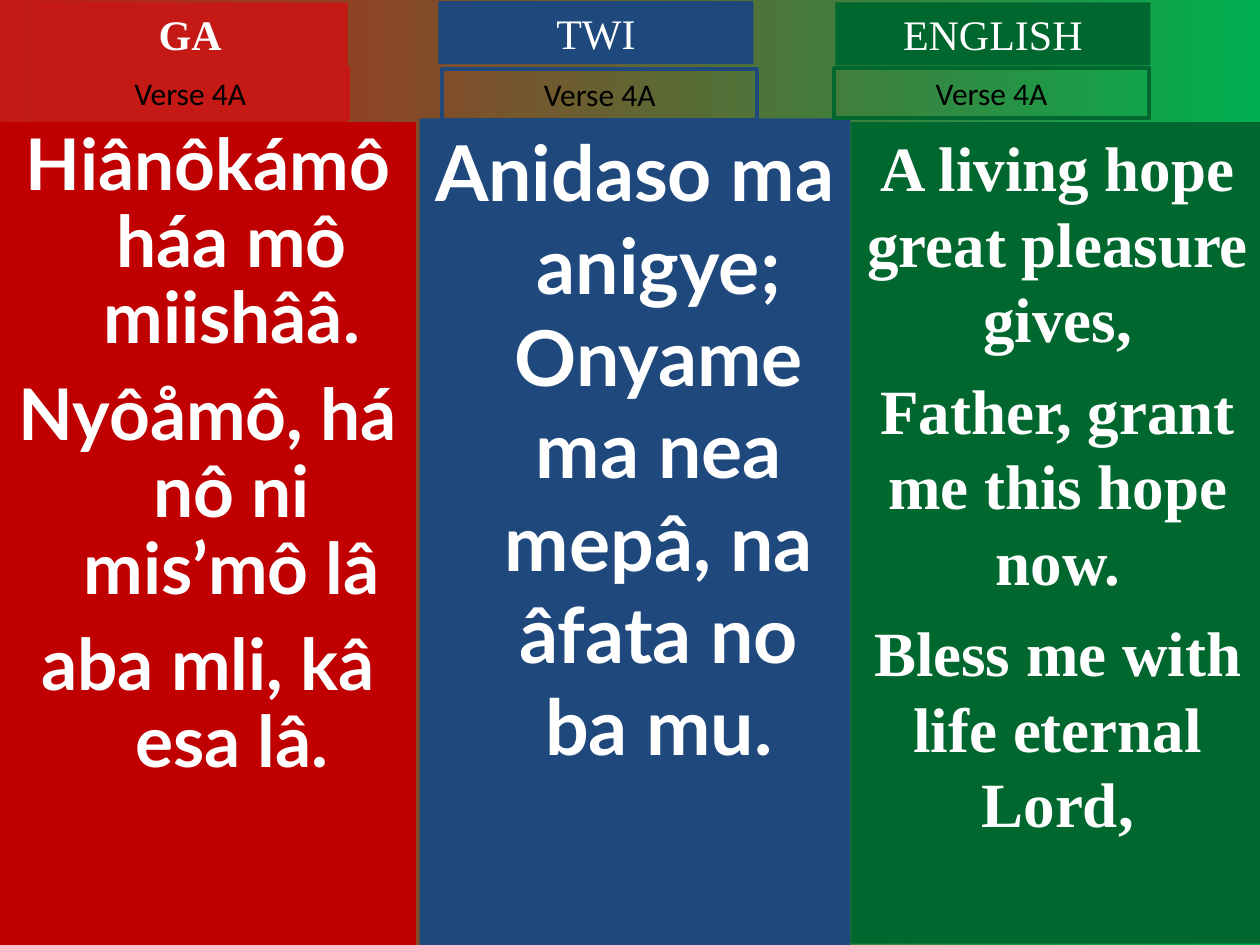
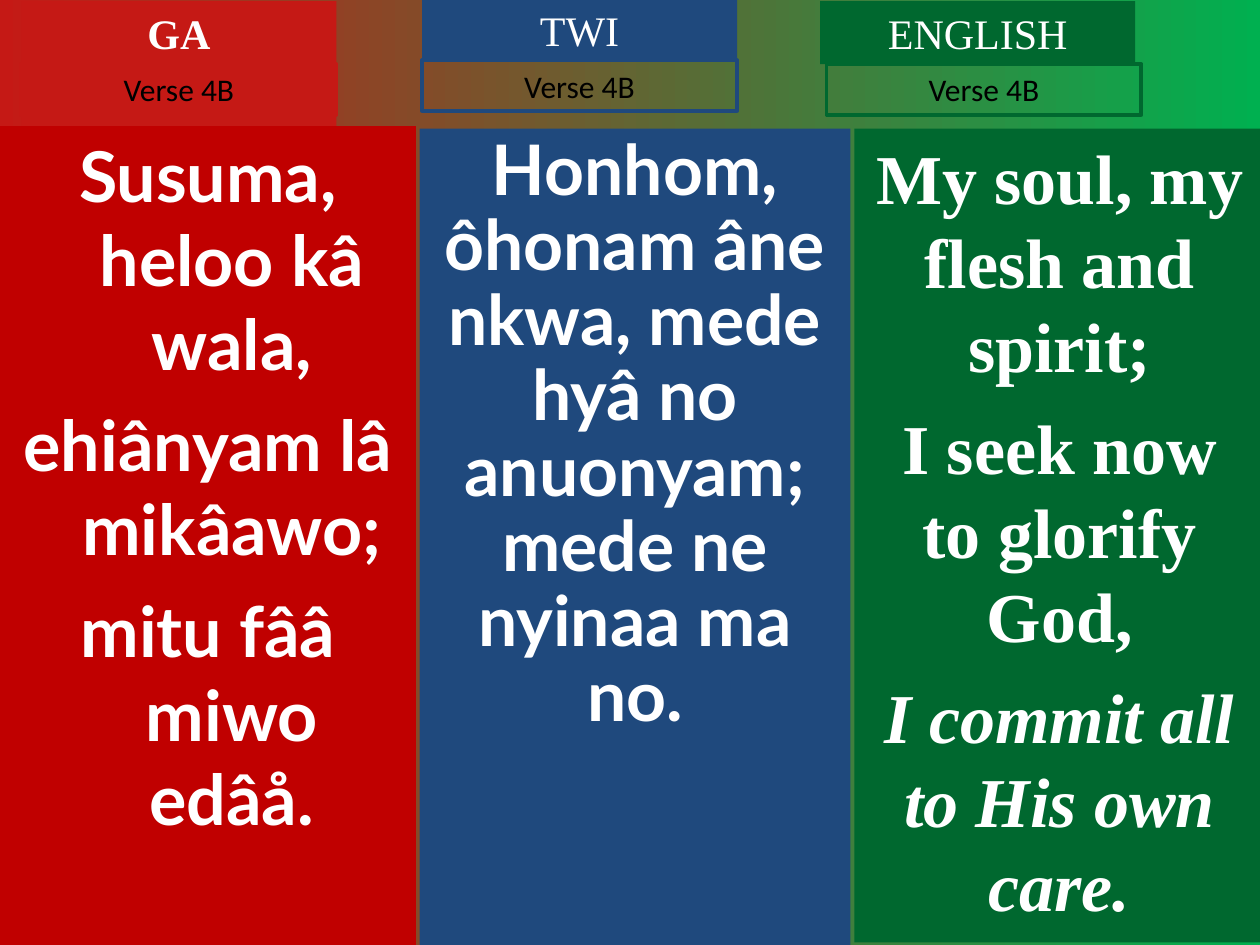
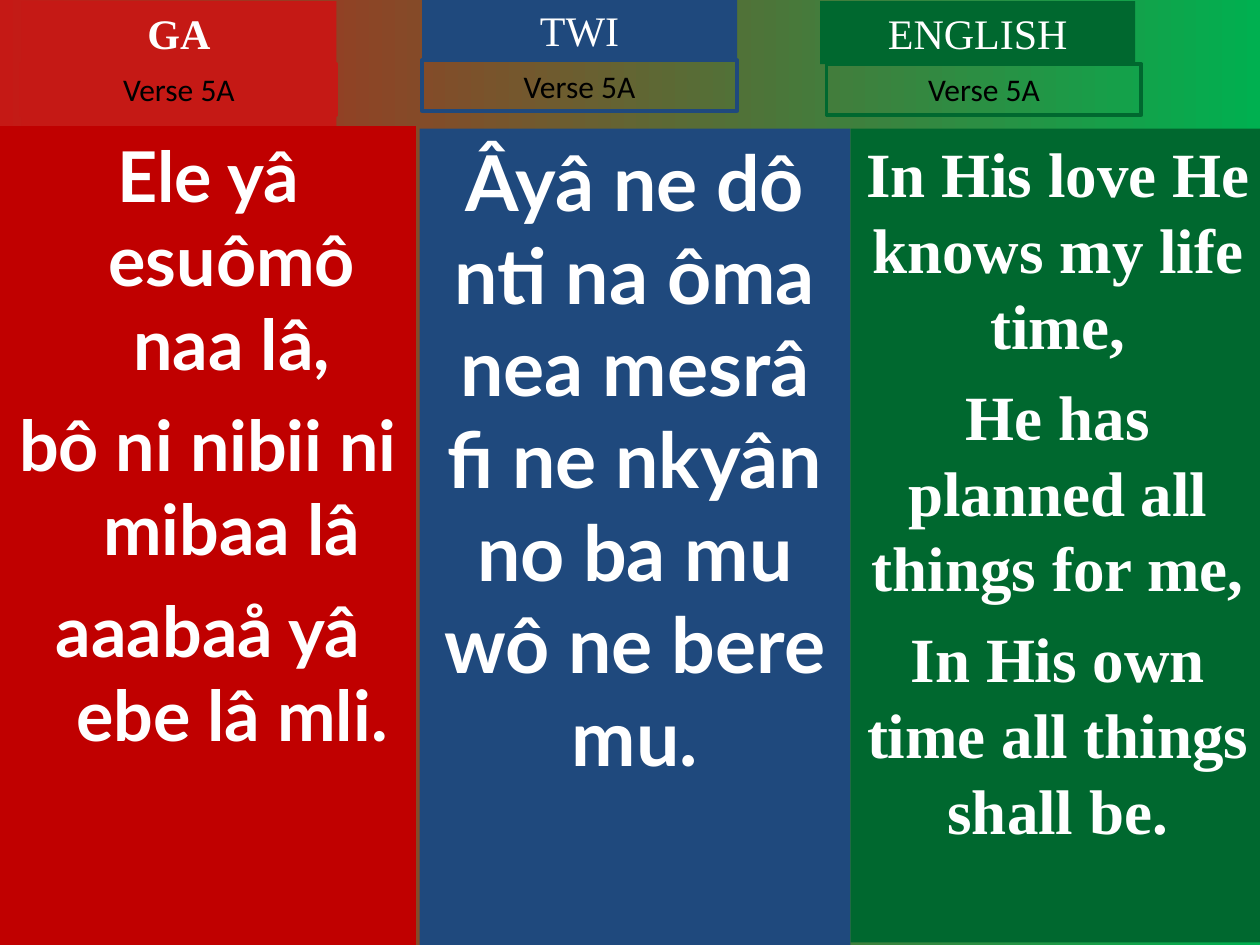
from dataclasses import dataclass

from lxml.etree import SubElement
from pptx import Presentation
from pptx.dml.color import RGBColor
from pptx.enum.shapes import MSO_SHAPE
from pptx.enum.text import MSO_ANCHOR, MSO_AUTO_SIZE, PP_ALIGN
from pptx.oxml.ns import qn
from pptx.util import Inches, Pt

# The grid has 100 columns and 75 rows on every slide.
UNIT = Inches(0.1)
COLUMNS, ROWS = 100, 75
COMPARISON_LAYOUT = 3 + 1
HANGING = Inches(0.38)

RED = RGBColor(0xC5, 0x19, 0x15)
DARK_RED = RGBColor(0xC0, 0x00, 0x00)
BLUE = RGBColor(0x1F, 0x49, 0x7D)
GREEN = RGBColor(0x00, 0x68, 0x2F)
BRIGHT_GREEN = RGBColor(0x00, 0xB0, 0x50)
WHITE = RGBColor(0xFF, 0xFF, 0xFF)
BLACK = RGBColor(0x00, 0x00, 0x00)


@dataclass
class Language:
    name: str
    accent: RGBColor
    panel_color: RGBColor
    font: str
    placeholder: int
    bold_heading: bool = False


@dataclass
class Verse:
    lines: list
    size: float
    space_before: float = 10
    line_spacing: float = 1.0
    hanging: bool = False
    italic_last: bool = False


LANGUAGES = [
    Language("GA", RED, DARK_RED, "Lato", 1, bold_heading=True),
    Language("TWI", BLUE, BLUE, "Lato", 2),
    Language("ENGLISH", GREEN, GREEN, "Times New Roman", 4),
]

# Left and top of each heading and label; left, top, right and bottom of each panel.
FIRST_PLACES = {
    "heading": [(2.6, 0.2), (34.8, 0.1), (66.3, 0.2)],
    "label": [(2.6, 5.4), (35.1, 5.5), (66.2, 5.4)],
    "panel": [(0, 9.7, 33, ROWS), (33.3, 9.4, 67.5, ROWS), (67.5, 9.7, 100.4, 74.9)],
}
LATER_PLACES = {
    "heading": [(1.7, 0.1), (33.5, -0.1), (65.1, 0.1)],
    "label": [(1.7, 5.1), (33.5, 4.8), (65.6, 5.1)],
    "panel": [(0, 10, 33, ROWS), (33.3, 10.2, 67.5, ROWS), (67.5, 10.2, 100.4, 74.8)],
}
INSET_PLACES = LATER_PLACES | {
    "panel": LATER_PLACES["panel"][:2] + [(67.8, 10.2, 100.4, 74.8)],
}

SLIDES = [
    ("Verse 4A", FIRST_PLACES, [
        Verse(["Hiânôkámô háa mô miishââ.", "Nyôåmô, há nô ni mis’mô lâ",
               "aba mli, kâ esa lâ."], 40.7, 11, 0.9, hanging=True),
        Verse(["Anidaso ma anigye; Onyame ma nea mepâ, na âfata no ba mu."],
              44, hanging=True),
        Verse(["A living hope great pleasure gives,", "Father, grant me this hope now.",
               "Bless me with life eternal Lord,"], 36, 9),
    ]),
    ("Verse 4B", INSET_PLACES, [
        Verse(["Susuma, heloo kâ wala,", "ehiânyam lâ mikâawo;",
               "mitu fââ miwo edâå."], 40, hanging=True),
        Verse(["Honhom, ôhonam âne nkwa, mede hyâ no anuonyam; mede ne nyinaa ma no."],
              39.8, line_spacing=0.9),
        Verse(["My soul, my flesh and spirit;", "I seek now to glorify God,",
               "I commit all to His own care."], 40, italic_last=True),
    ]),
    ("Verse 5A", LATER_PLACES, [
        Verse(["Ele yâ esuômô naa lâ,", "bô ni nibii ni mibaa lâ",
               "aaabaå yâ ebe lâ mli."], 40, hanging=True),
        Verse(["Âyâ ne dô nti na ôma nea mesrâ fi ne nkyân no ba mu wô ne bere mu."], 44),
        Verse(["In His love He knows my life time,", "He has planned all things for me,",
               "In His own time all things shall be."], 36, 9),
    ]),
]


def set_attributes(target, values):
    for name, value in values.items():
        setattr(target, name, value)


def place(shape, left, top, width, height):
    box = dict(left=left, top=top, width=width, height=height)
    set_attributes(shape, {name: round(length * UNIT) for name, length in box.items()})


def add_rectangle(slide):
    return slide.shapes.add_shape(MSO_SHAPE.RECTANGLE, 0, 0, UNIT, UNIT)


def paint(shape, fill=None, line=None):
    shape.shadow.inherit = False
    if fill is None:
        shape.fill.background()
    else:
        shape.fill.solid()
        shape.fill.fore_color.rgb = fill
    if line is None:
        shape.line.fill.background()
    else:
        shape.line.color.rgb = line
        shape.line.width = Pt(2.25)


def write(shape, lines, font, color, auto_size, hanging=False, **spacing):
    """Fill the shape with centred, unbulleted paragraphs."""
    frame = shape.text_frame
    set_attributes(frame, {
        "text": "\n".join(lines), "word_wrap": True, "auto_size": auto_size,
        "vertical_anchor": MSO_ANCHOR.TOP,
        "margin_left": Inches(0.1), "margin_right": Inches(0.1),
        "margin_top": Inches(0.05), "margin_bottom": Inches(0.05),
    })
    indent = HANGING if hanging else 0
    for paragraph in frame.paragraphs:
        properties = paragraph._p.get_or_add_pPr()
        properties.set("marL", str(indent))
        properties.set("indent", str(-indent))
        SubElement(properties, qn("a:buNone"))
        set_attributes(paragraph, {"alignment": PP_ALIGN.CENTER, **spacing})
        for run in paragraph.runs:
            set_attributes(run.font, font)
            run.font.color.rgb = color
    frame.paragraphs[0].space_before = Pt(0)


def add_heading(slide, language, position):
    is_first = language is LANGUAGES[0]
    heading = slide.shapes.title if is_first else add_rectangle(slide)
    place(heading, *position, 25, 5)
    paint(heading, fill=language.accent)
    font = {"name": "Times New Roman", "size": Pt(24), "bold": language.bold_heading}
    write(heading, [language.name], font, WHITE, MSO_AUTO_SIZE.SHAPE_TO_FIT_TEXT)


def add_verse_label(slide, language, text, position):
    label = add_rectangle(slide)
    place(label, *position, 25, 4)
    paint(label, line=language.accent)
    font = {"name": "Calibri", "size": Pt(18), "bold": False}
    write(label, [text], font, BLACK, MSO_AUTO_SIZE.SHAPE_TO_FIT_TEXT)


def add_verse_panel(slide, language, verse, edges):
    left, top, right, bottom = edges
    panel = slide.placeholders[language.placeholder]
    place(panel, left, top, right - left, bottom - top)
    paint(panel, fill=language.panel_color)
    font = {"name": language.font, "size": Pt(verse.size), "bold": True}
    write(panel, verse.lines, font, WHITE, MSO_AUTO_SIZE.NONE, verse.hanging,
          space_before=Pt(verse.space_before), line_spacing=verse.line_spacing)
    if verse.italic_last:
        panel.text_frame.paragraphs[-1].runs[0].font.italic = True


def set_background(master):
    fill = master.background.fill
    fill.gradient()
    fill.gradient_angle = 0
    for stop, color in zip(fill.gradient_stops, (RED, BRIGHT_GREEN)):
        stop.color.rgb = color
    for stop, position in zip(fill.gradient_stops, (0, 1)):
        stop.position = position


def add_verse_slide(presentation, label, places, verses):
    slide = presentation.slides.add_slide(presentation.slide_layouts[COMPARISON_LAYOUT])
    for index, (language, verse) in enumerate(zip(LANGUAGES, verses)):
        add_verse_panel(slide, language, verse, places["panel"][index])
        add_heading(slide, language, places["heading"][index])
        add_verse_label(slide, language, label, places["label"][index])
    for placeholder in list(slide.placeholders):
        if not placeholder.text_frame.text:
            placeholder.element.getparent().remove(placeholder.element)


def main():
    presentation = Presentation()
    presentation.slide_width = COLUMNS * UNIT
    presentation.slide_height = ROWS * UNIT
    set_background(presentation.slide_master)
    for label, places, verses in SLIDES:
        add_verse_slide(presentation, label, places, verses)
    presentation.save("out.pptx")


if __name__ == "__main__":
    main()
